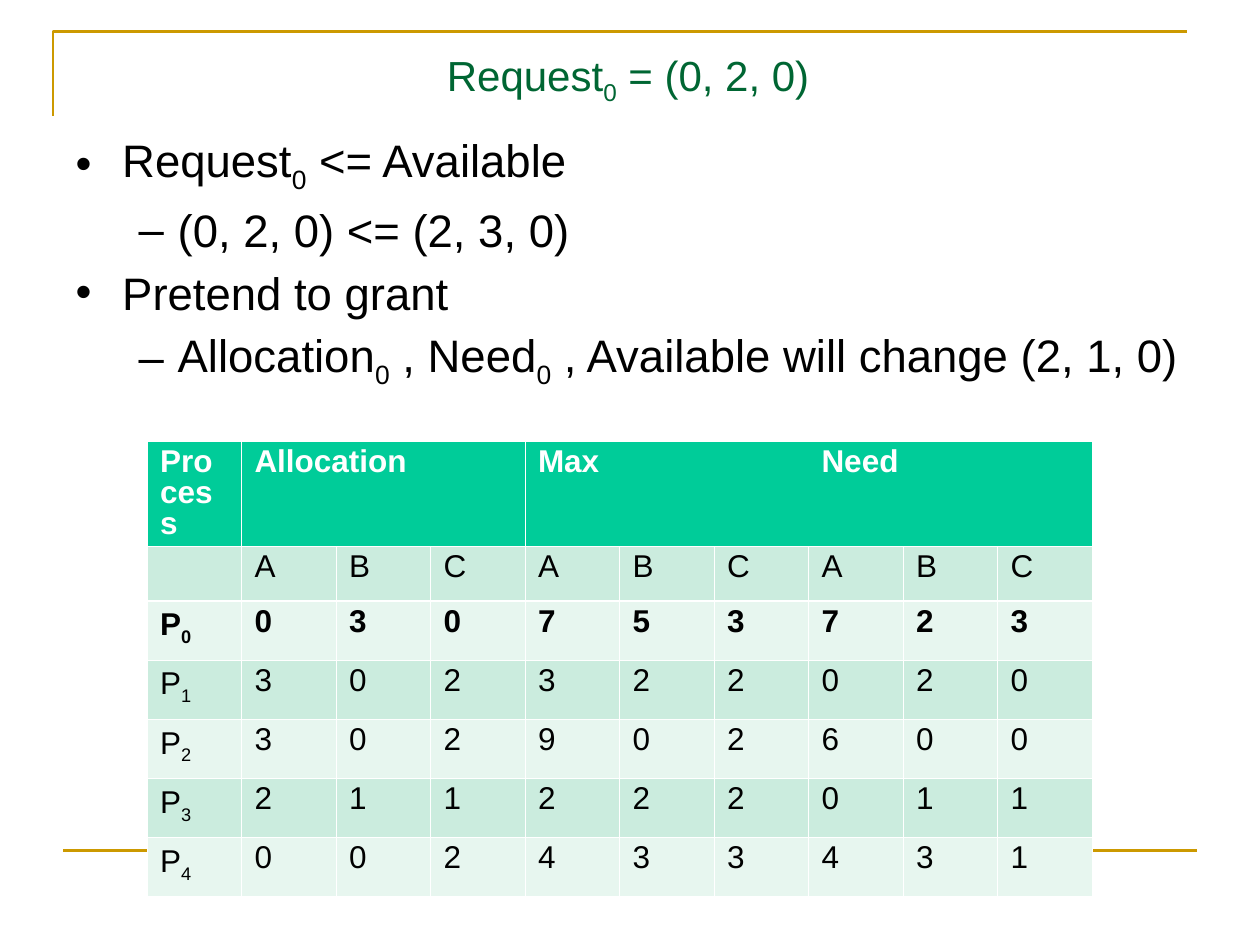
from lxml.etree import SubElement
from pptx import Presentation
from pptx.dml.color import RGBColor
from pptx.enum.text import MSO_ANCHOR, MSO_AUTO_SIZE, PP_ALIGN
from pptx.oxml.ns import qn
from pptx.util import Inches, Pt

GOLD = RGBColor(0xCC, 0x99, 0x00)
GREEN = RGBColor(0x00, 0x66, 0x33)
BLACK = RGBColor(0x00, 0x00, 0x00)
WHITE = RGBColor(0xFF, 0xFF, 0xFF)
HEADER = RGBColor(0x00, 0xCC, 0x99)
BANDS = [RGBColor(0xCB, 0xEC, 0xDE), RGBColor(0xE7, 0xF6, 0xEF)]
FONT = "Arial"

# Each text is a list of parts; every second part is a subscript.
TITLE = ["Request", "0", " = (0, 2, 0)"]
BULLETS = [
    (0, ["Request", "0", " <= Available"]),
    (1, ["(0, 2, 0) <= (2, 3, 0)"]),
    (0, ["Pretend to grant"]),
    (1, ["Allocation", "0", " , Need", "0", " , Available will change (2, 1, 0)"]),
]
LEVELS = [("•", 0.37, -0.37), ("–", 0.81, -0.31)]
GROUPS = ["Allocation", "Max", "Need"]
RESOURCES = ["A", "B", "C"]
PROCESSES = [
    [0, 3, 0, 7, 5, 3, 7, 2, 3],
    [3, 0, 2, 3, 2, 2, 0, 2, 0],
    [3, 0, 2, 9, 0, 2, 6, 0, 0],
    [2, 1, 1, 2, 2, 2, 0, 1, 1],
    [0, 0, 2, 4, 3, 3, 4, 3, 1],
]
COLUMN_WIDTH = 0.75
ROW_HEIGHTS = [0.82, 0.43] + [0.47] * len(PROCESSES)


def write(para, parts, size, color, bold=False):
    font = para.font
    font.name, font.size, font.bold = FONT, Pt(size), bold
    font.color.rgb = color
    for index, part in enumerate(parts):
        span = para.add_run()
        span.text = part
        if index % 2:
            span.font._element.set("baseline", "-25000")


def add_bullet(para, level):
    mark, margin, indent = LEVELS[level]
    para.level = level
    props = para._p.get_or_add_pPr()
    props.set("marL", str(Inches(margin)))
    props.set("indent", str(Inches(indent)))
    SubElement(SubElement(props, qn("a:buClr")), qn("a:srgbClr"), val=str(BLACK))
    SubElement(props, qn("a:buFont"), typeface=FONT)
    SubElement(props, qn("a:buChar"), char=mark)


def place(box, left, top, width, height):
    box.left, box.top = Inches(left), Inches(top)
    box.width, box.height = Inches(width), Inches(height)
    box.text_frame.auto_size = MSO_AUTO_SIZE.NONE
    box.text_frame.word_wrap = True


def add_rules(page):
    builder = page.shapes.build_freeform(Inches(0.42), Inches(0.92))
    builder.add_line_segments(
        [(Inches(0.42), Inches(0.25)), (Inches(9.42), Inches(0.25))], close=False)
    corner = builder.convert_to_shape()
    corner.shadow.inherit = False
    corner.fill.background()
    footer = page.shapes.add_connector(
        1, Inches(0.5), Inches(6.75), Inches(9.5), Inches(6.75))
    for rule in (corner, footer):
        rule.line.color.rgb = GOLD
        rule.line.width = Pt(1.5)
    SubElement(footer._element.spPr, qn("a:effectLst"))


def set_borders(cell, hidden):
    props = cell._tc.get_or_add_tcPr()
    for side in "LRTB":
        edge = SubElement(props, qn(f"a:ln{side}"), w=str(Pt(0.75)))
        if side in hidden:
            SubElement(edge, qn("a:noFill"))
        else:
            SubElement(SubElement(edge, qn("a:solidFill")), qn("a:srgbClr"), val=str(WHITE))


def add_process_table(page):
    header = [["Process"]]
    for group in GROUPS:
        header += [[group], [], []]
    rows = [header, [[]] + [[name] for name in RESOURCES * len(GROUPS)]]
    for number, values in enumerate(PROCESSES):
        rows.append([["P", str(number)]] + [[str(value)] for value in values])

    columns = len(header)
    table = page.shapes.add_table(
        len(rows), columns, Inches(1.17), Inches(3.5),
        Inches(COLUMN_WIDTH * columns), Inches(sum(ROW_HEIGHTS))).table
    for column in table.columns:
        column.width = Inches(COLUMN_WIDTH)
    need_column = 1 + 2 * len(RESOURCES)
    for r, row in enumerate(rows):
        table.rows[r].height = Inches(ROW_HEIGHTS[r])
        for c, parts in enumerate(row):
            cell = table.cell(r, c)
            hidden = ""
            if r == 0 and need_column - 3 <= c < need_column:
                hidden = "R"
            elif r == 0 and c == need_column:
                hidden = "L"
            set_borders(cell, hidden)
            cell.fill.solid()
            cell.fill.fore_color.rgb = BANDS[(r - 1) % 2] if r else HEADER
            para = cell.text_frame.paragraphs[0]
            para.line_spacing = 0.88
            write(para, parts, 18, BLACK if r else WHITE, bold=r in (0, 2))
    for start in range(1, columns, len(RESOURCES)):
        table.cell(0, start).merge(table.cell(0, start + len(RESOURCES) - 1))


def main():
    deck = Presentation()
    deck.slide_width, deck.slide_height = Inches(10), Inches(7.5)
    page = deck.slides.add_slide(deck.slide_layouts[1])
    title, body = page.placeholders

    place(title, 0.5, 0.33, 8.97, 0.58)
    title.text_frame.vertical_anchor = MSO_ANCHOR.MIDDLE
    heading = title.text_frame.paragraphs[0]
    heading.alignment = PP_ALIGN.CENTER
    write(heading, TITLE, 24, GREEN)

    place(body, 0.5, 1, 9.5, 2.14)
    frame = body.text_frame
    for index, (level, parts) in enumerate(BULLETS):
        para = frame.add_paragraph() if index else frame.paragraphs[0]
        para.space_before = Pt(4.5 if index else 0)
        add_bullet(para, level)
        write(para, parts, 26, BLACK)

    add_rules(page)
    add_process_table(page)
    deck.save("out.pptx")


if __name__ == "__main__":
    main()
